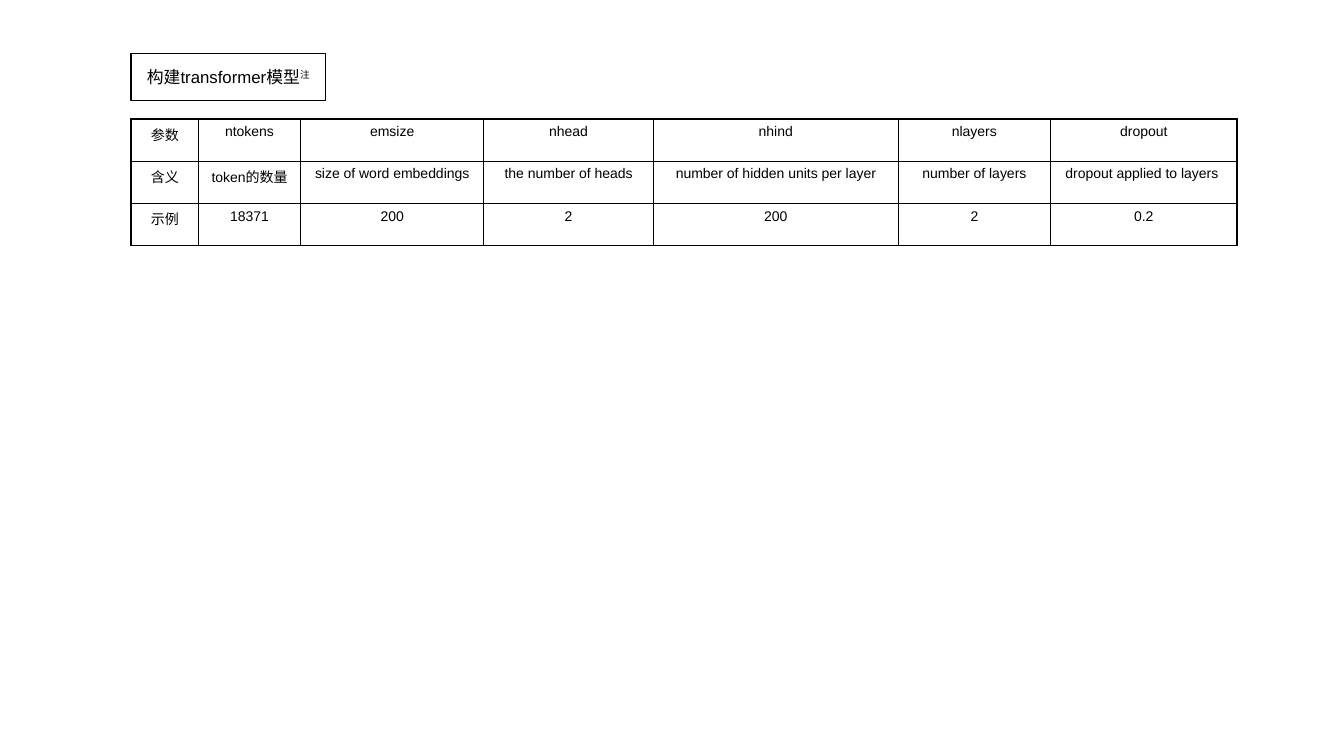
from lxml.etree import SubElement
from pptx import Presentation
from pptx.dml.color import RGBColor
from pptx.enum.text import MSO_ANCHOR, MSO_AUTO_SIZE, PP_ALIGN
from pptx.oxml.ns import qn
from pptx.util import Inches, Pt

BLACK = "000000"
FONT = "Arial"
LEFT = 1.3
TITLE_TOP, TITLE_WIDTH, TITLE_HEIGHT = 0.53, 1.93, 0.47
TABLE_TOP, ROW_HEIGHT = 1.18, 0.42
COLUMN_WIDTHS = [0.67, 1.01, 1.82, 1.68, 2.43, 1.51, 1.85]
PARAMETERS = [
    ["参数", "ntokens", "emsize", "nhead", "nhind", "nlayers", "dropout"],
    ["含义", "token的数量", "size of word embeddings", "the number of heads",
     "number of hidden units per layer", "number of layers",
     "dropout applied to layers "],
    ["示例", "18371", "200", "2", "200", "2", "0.2"],
]


def color(hex_value):
    return RGBColor.from_string(hex_value)


def format_text(text_frame, size):
    for paragraph in text_frame.paragraphs:
        paragraph.alignment = PP_ALIGN.CENTER
        for run in paragraph.runs:
            run.font.name = FONT
            run.font.size = Pt(size)
            run.font.color.rgb = color(BLACK)


def add_borders(cell, hex_value, width):
    properties = cell._tc.get_or_add_tcPr()
    for side in ("a:lnL", "a:lnR", "a:lnT", "a:lnB"):
        border = SubElement(properties, qn(side), w=str(Pt(width)))
        fill = SubElement(border, qn("a:solidFill"))
        SubElement(fill, qn("a:srgbClr"), val=hex_value)


def add_title(slide, text, note):
    title = slide.shapes.title
    title.left, title.top = Inches(LEFT), Inches(TITLE_TOP)
    title.width, title.height = Inches(TITLE_WIDTH), Inches(TITLE_HEIGHT)
    title.line.color.rgb = color(BLACK)
    title.line.width = Pt(1)
    frame = title.text_frame
    frame.text = text
    frame.auto_size = MSO_AUTO_SIZE.NONE
    frame.word_wrap = False
    frame.vertical_anchor = MSO_ANCHOR.MIDDLE
    # Superscript note mark
    note_run = frame.paragraphs[0].add_run()
    note_run.text = note
    format_text(frame, 12)
    note_run._r.get_or_add_rPr().set("baseline", "30000")


def add_parameter_table(slide, rows):
    table = slide.shapes.add_table(
        len(rows), len(COLUMN_WIDTHS), Inches(LEFT), Inches(TABLE_TOP),
        Inches(sum(COLUMN_WIDTHS)), Inches(ROW_HEIGHT * len(rows))).table
    table.first_row = table.horz_banding = False
    for column, width in zip(table.columns, COLUMN_WIDTHS):
        column.width = Inches(width)
    for row, texts in zip(table.rows, rows):
        row.height = Inches(ROW_HEIGHT)
        for cell, text in zip(row.cells, texts):
            cell.text_frame.text = text
            format_text(cell.text_frame, 10)
            add_borders(cell, BLACK, 1)
            cell.fill.background()


def main():
    deck = Presentation()
    deck.slide_width, deck.slide_height = Inches(13.33), Inches(7.5)
    title_only = deck.slide_layouts[5]
    slide = deck.slides.add_slide(title_only)
    add_title(slide, "构建transformer模型", "注")
    add_parameter_table(slide, PARAMETERS)
    deck.save("out.pptx")


if __name__ == "__main__":
    main()
